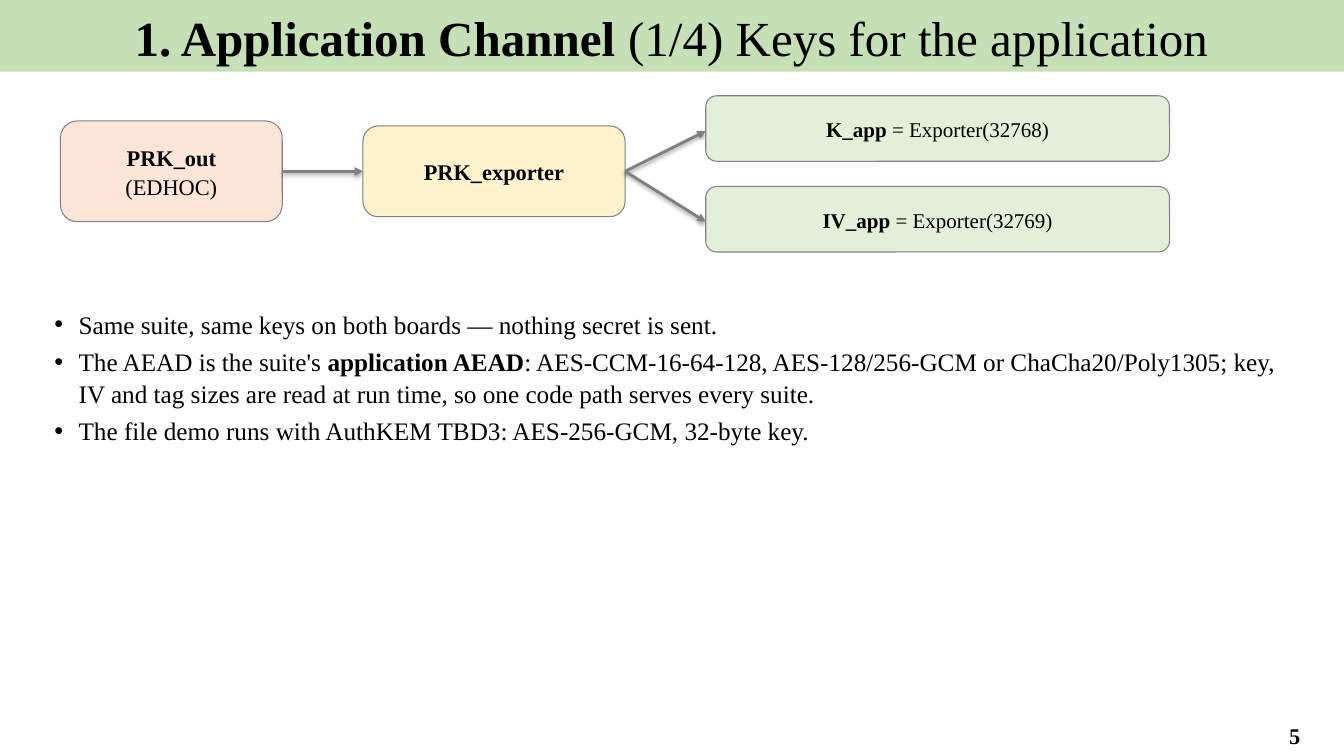
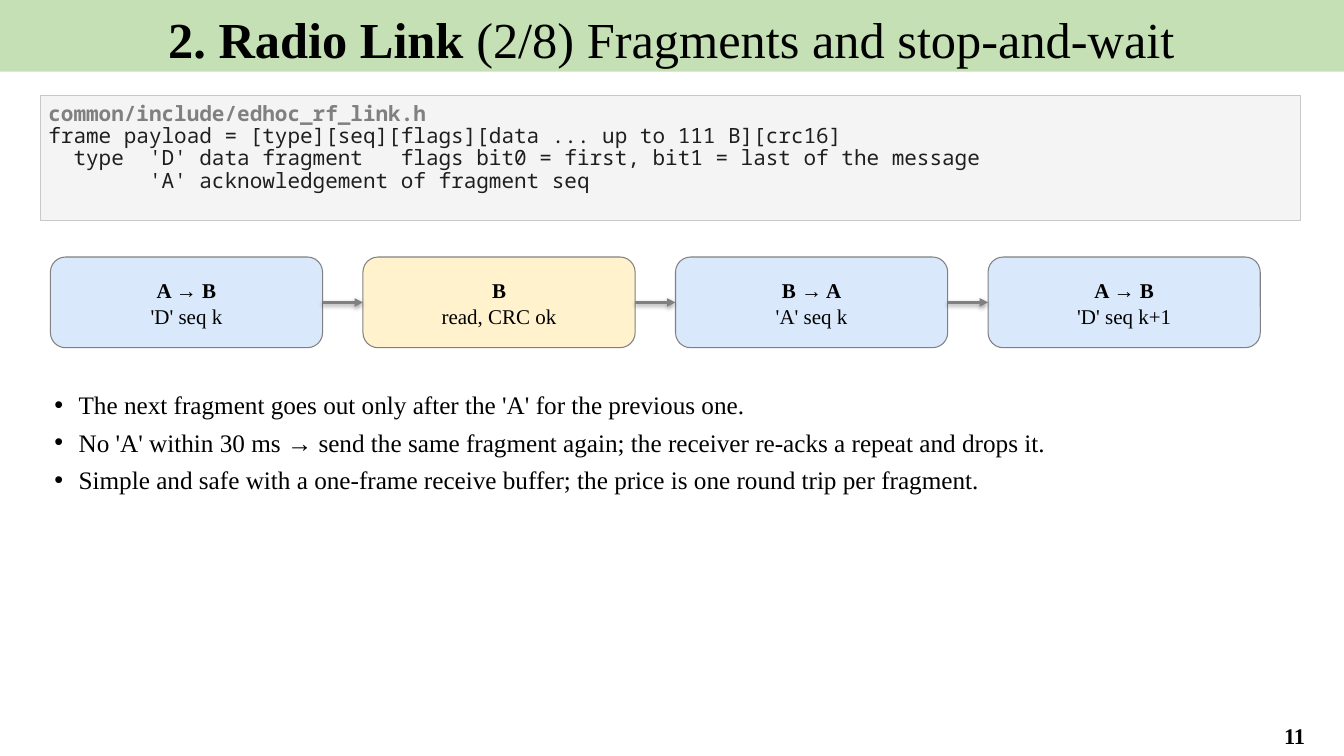
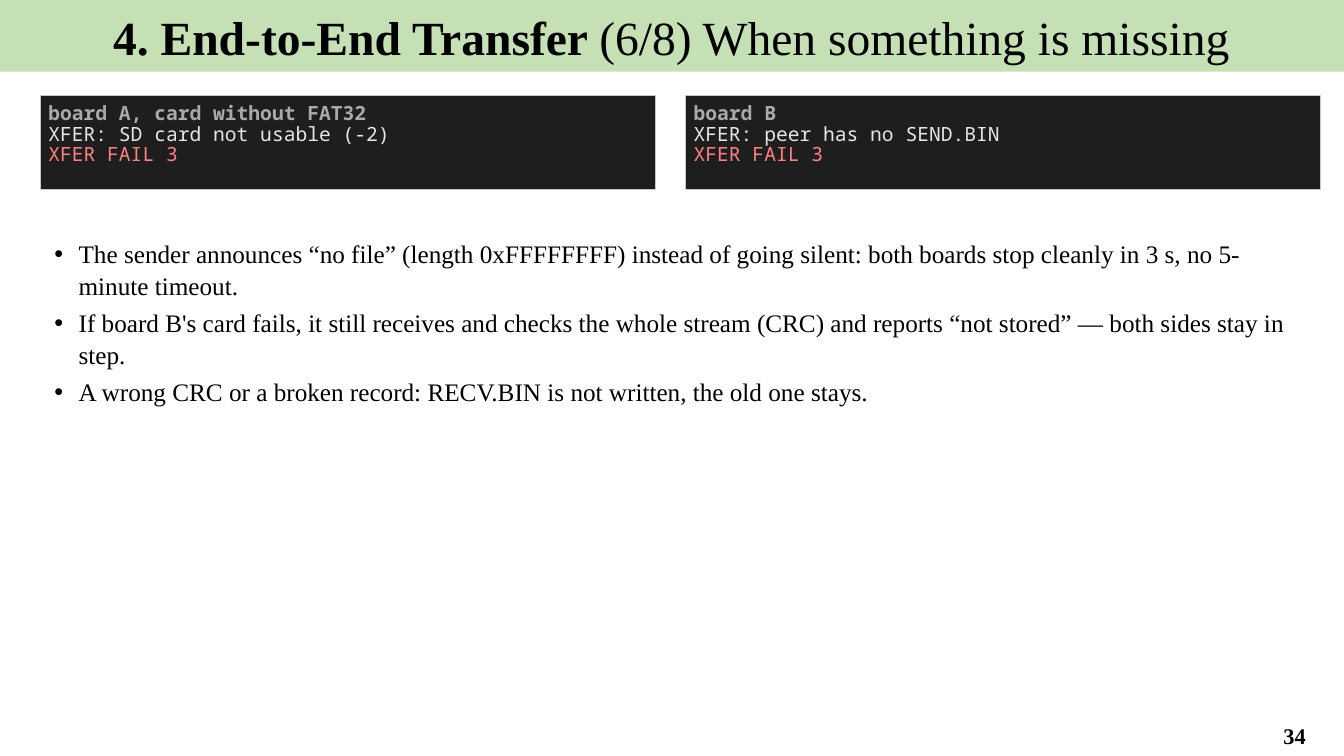
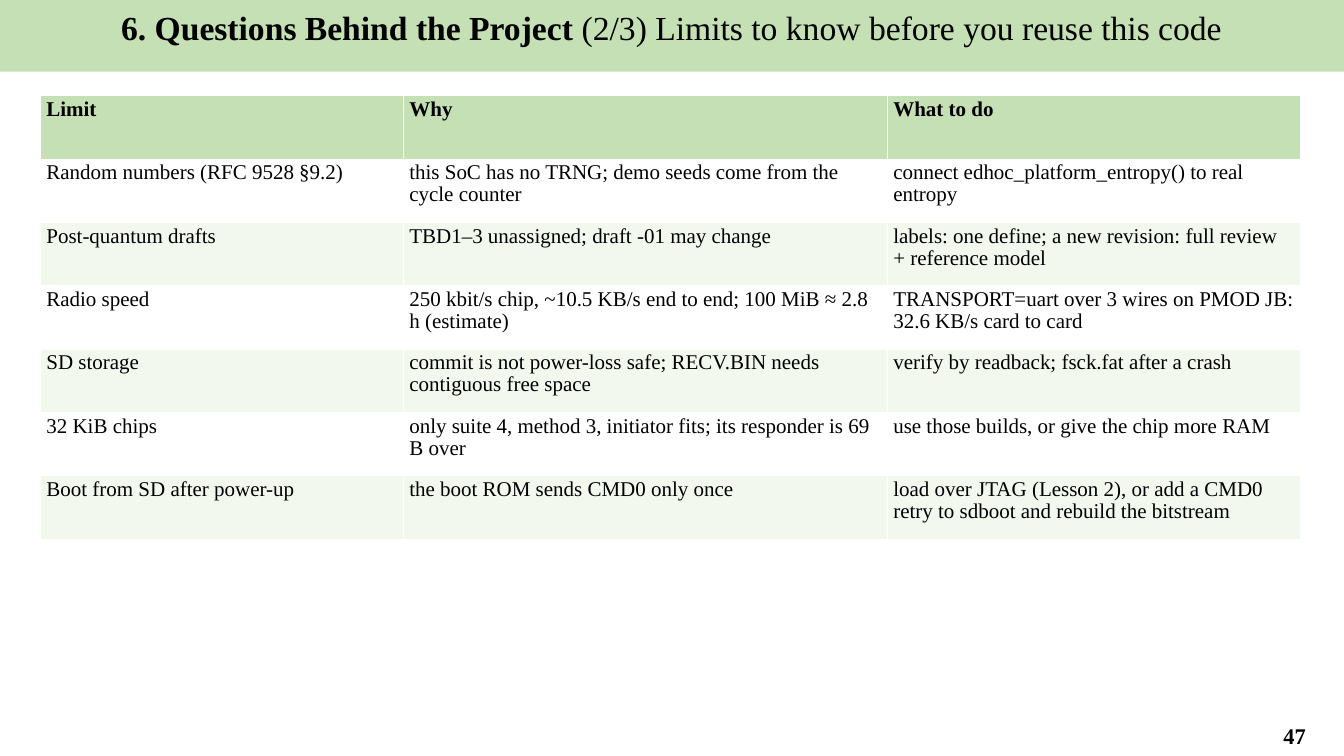
from dataclasses import dataclass
from itertools import pairwise

import lxml.etree
import pptx
import pptx.dml.color
import pptx.enum.shapes
import pptx.enum.text
import pptx.oxml.ns
import pptx.presentation
import pptx.slide
import pptx.text.text
import pptx.util

ALIGN = pptx.enum.text.PP_ALIGN
ANCHOR = pptx.enum.text.MSO_ANCHOR
SHAPE = pptx.enum.shapes.MSO_SHAPE
EMU_PER_PX = 9144
SERIF, MONO = "Times New Roman", "Noto Sans Mono"
BLACK, WHITE, GREY = "000000", "FFFFFF", "808080"
BAND, STRIPE = "C5E0B4", "F2F8EE"
PEACH, CREAM, MINT, SKY = "FCE4D6", "FFF2CC", "E2F0D9", "DAE8FC"
TITLE_AND_BODY, TITLE_ONLY = 1, 5
TOP, LEFT, CONTENT_WIDTH = 95, 40, 1250


@dataclass(frozen=True)
class Run:
    text: str
    bold: bool = False
    color: str = BLACK


@dataclass(frozen=True)
class Style:
    size: int
    font: str = SERIF
    align: ALIGN = ALIGN.LEFT
    spacing: float = 1.05
    after: int = 0
    bullet: bool = False


@dataclass(frozen=True)
class Box:
    left: int
    top: int
    width: int
    height: int

    @property
    def middle(self) -> int:
        return self.top + self.height // 2

    @property
    def right(self) -> int:
        return self.left + self.width


@dataclass(frozen=True)
class Node:
    box: Box
    fill: str
    lines: list[list[Run]]
    size: int = 15


@dataclass(frozen=True)
class Listing:
    box: Box
    fill: str
    size: int
    lines: list[Run]


@dataclass(frozen=True)
class Heading:
    section: str
    topic: str
    size: int
    page: int


BULLETS = Style(18, after=4, bullet=True)


def px(length: int) -> pptx.util.Emu:
    return pptx.util.Emu(length * EMU_PER_PX)


def rgb(color: str) -> pptx.dml.color.RGBColor:
    return pptx.dml.color.RGBColor.from_string(color)


def emu(box: Box) -> tuple[pptx.util.Emu, ...]:
    return px(box.left), px(box.top), px(box.width), px(box.height)


def place(shape, box: Box) -> None:
    shape.left, shape.top, shape.width, shape.height = emu(box)


def paint(shape, fill: str, outline: str) -> None:
    shape.shadow.inherit = False
    shape.fill.solid()
    shape.fill.fore_color.rgb = rgb(fill)
    shape.line.color.rgb = rgb(outline)
    shape.line.width = pptx.util.Pt(0.75)


def set_frame(frame: pptx.text.text.TextFrame, across: int, down: int,
              anchor: ANCHOR = ANCHOR.TOP, wrap: bool = True) -> None:
    frame.margin_left = frame.margin_right = px(across)
    frame.margin_top = frame.margin_bottom = px(down)
    frame.vertical_anchor = anchor
    frame.word_wrap = wrap
    frame.auto_size = pptx.enum.text.MSO_AUTO_SIZE.NONE


def add_bullet(paragraph) -> None:
    properties = paragraph._p.get_or_add_pPr()
    properties.set("marL", str(px(28)))
    properties.set("indent", str(px(-24)))
    qn = pptx.oxml.ns.qn
    lxml.etree.SubElement(properties, qn("a:buFont"), typeface="Arial")
    lxml.etree.SubElement(properties, qn("a:buChar"), char="•")


def write(frame: pptx.text.text.TextFrame, lines: list[list[Run]], style: Style) -> None:
    for index, line in enumerate(lines):
        paragraph = frame.add_paragraph() if index else frame.paragraphs[0]
        if style.bullet:
            add_bullet(paragraph)
        paragraph.alignment = style.align
        paragraph.line_spacing = style.spacing
        paragraph.space_before = pptx.util.Pt(0)
        paragraph.space_after = pptx.util.Pt(style.after)
        for piece in line:
            run = paragraph.add_run()
            run.text = piece.text
            run.font.name = style.font
            run.font.size = pptx.util.Pt(style.size)
            run.font.bold = piece.bold
            run.font.color.rgb = rgb(piece.color)


def start_slide(deck: pptx.presentation.Presentation, heading: Heading,
                layout: int = TITLE_AND_BODY) -> pptx.slide.Slide:
    slide = deck.slides.add_slide(deck.slide_layouts[layout])
    title = slide.shapes.title
    place(title, Box(-1, 0, 1334, 71))
    title.fill.solid()
    title.fill.fore_color.rgb = rgb(BAND)
    set_frame(title.text_frame, 10, 5)
    write(title.text_frame, [[Run(heading.section + " ", True), Run(heading.topic)]],
          Style(heading.size, align=ALIGN.CENTER))
    page = slide.shapes.add_textbox(*emu(Box(1235, 710, 98, 39)))
    set_frame(page.text_frame, 10, 5, ANCHOR.MIDDLE)
    write(page.text_frame, [[Run(str(heading.page), True)]],
          Style(16, align=ALIGN.CENTER, spacing=1.0))
    return slide


def fill_body(slide: pptx.slide.Slide, top: int, height: int,
              points: list[list[Run]]) -> None:
    body = slide.placeholders[1]
    place(body, Box(LEFT, top, CONTENT_WIDTH, height))
    set_frame(body.text_frame, 10, 5)
    write(body.text_frame, points, BULLETS)


def add_node(slide: pptx.slide.Slide, node: Node) -> None:
    shape = slide.shapes.add_shape(SHAPE.ROUNDED_RECTANGLE, *emu(node.box))
    paint(shape, node.fill, GREY)
    set_frame(shape.text_frame, 4, 4, ANCHOR.MIDDLE)
    write(shape.text_frame, node.lines, Style(node.size, align=ALIGN.CENTER))


def add_arrow(slide: pptx.slide.Slide, source: Box, target: Box, drop: int = 0) -> None:
    arrow = slide.shapes.add_connector(
        pptx.enum.shapes.MSO_CONNECTOR.STRAIGHT,
        px(source.right), px(source.middle), px(target.left), px(target.middle + drop))
    arrow.line.color.rgb = rgb(GREY)
    arrow.line.width = pptx.util.Pt(2)
    outline = arrow.element.spPr.find(pptx.oxml.ns.qn("a:ln"))
    lxml.etree.SubElement(outline, pptx.oxml.ns.qn("a:tailEnd"), type="triangle")


def add_listing(slide: pptx.slide.Slide, listing: Listing) -> None:
    shape = slide.shapes.add_shape(SHAPE.RECTANGLE, *emu(listing.box))
    paint(shape, listing.fill, "C8C8C8")
    set_frame(shape.text_frame, 8, 8, wrap=False)
    write(shape.text_frame, [[line] for line in listing.lines],
          Style(listing.size, MONO, spacing=0.88))


def add_limits(slide: pptx.slide.Slide, box: Box, widths: list[int],
               rows: list[tuple[str, ...]]) -> None:
    table = slide.shapes.add_table(len(rows), len(widths), *emu(box)).table
    for column, width in zip(table.columns, widths):
        column.width = px(width)
    for row, texts in enumerate(rows):
        fill = BAND if row == 0 else WHITE if row % 2 else STRIPE
        for column, text in enumerate(texts):
            cell = table.cell(row, column)
            cell.fill.solid()
            cell.fill.fore_color.rgb = rgb(fill)
            cell.margin_left = cell.margin_right = px(6)
            cell.margin_top = cell.margin_bottom = px(3)
            write(cell.text_frame, [[Run(text, row == 0)]], Style(15, spacing=0.95))


def build_keys(deck: pptx.presentation.Presentation) -> None:
    slide = start_slide(deck, Heading(
        "1. Application Channel", "(1/4) Keys for the application", 35, 5))
    secret = Box(60, 120, 220, 100)
    exporter = Box(360, 125, 260, 90)
    outputs = [Box(700, TOP + 90 * index, 460, 65) for index in range(2)]
    add_node(slide, Node(secret, PEACH, [[Run("PRK_out", True)], [Run("(EDHOC)")]], 16))
    add_arrow(slide, secret, exporter)
    add_node(slide, Node(exporter, CREAM, [[Run("PRK_exporter", True)]], 16))
    for output in outputs:
        add_arrow(slide, exporter, output, drop=3)
    for output, name, label in zip(outputs, ("K_app", "IV_app"), (32768, 32769)):
        add_node(slide, Node(output, MINT, [[Run(name, True), Run(f" = Exporter({label})")]]))
    fill_body(slide, 300, 350, [
        [Run("Same suite, same keys on both boards — nothing secret is sent.")],
        [Run("The AEAD is the suite's "), Run("application AEAD", True),
         Run(": AES-CCM-16-64-128, AES-128/256-GCM or ChaCha20/Poly1305; key, IV and tag "
             "sizes are read at run time, so one code path serves every suite.")],
        [Run("The file demo runs with AuthKEM TBD3: AES-256-GCM, 32-byte key.")],
    ])


def build_fragments(deck: pptx.presentation.Presentation) -> None:
    slide = start_slide(deck, Heading(
        "2. Radio Link", "(2/8) Fragments and stop-and-wait", 36, 11))
    ink = "1F1F1F"
    add_listing(slide, Listing(Box(LEFT, TOP, CONTENT_WIDTH, 124), "F4F4F4", 15, [
        Run("common/include/edhoc_rf_link.h", True, GREY),
        Run("frame payload = [type][seq][flags][data ... up to 111 B][crc16]", color=ink),
        Run("  type  'D' data fragment   flags bit0 = first, bit1 = last of the message",
            color=ink),
        Run("        'A' acknowledgement of fragment seq", color=ink),
    ]))
    exchange = [
        ("A → B", "'D' seq k", SKY),
        ("B", "read, CRC ok", CREAM),
        ("B → A", "'A' seq k", SKY),
        ("A → B", "'D' seq k+1", SKY),
    ]
    steps = [Box(50 + 310 * index, 255, 270, 90) for index in range(len(exchange))]
    for step, (who, action, fill) in zip(steps, exchange):
        add_node(slide, Node(step, fill, [[Run(who, True)], [Run(action)]]))
    for source, target in pairwise(steps):
        add_arrow(slide, source, target)
    fill_body(slide, 380, 300, [
        [Run("The next fragment goes out only after the 'A' for the previous one.")],
        [Run("No 'A' within 30 ms → send the same fragment again; the receiver re-acks "
             "a repeat and drops it.")],
        [Run("Simple and safe with a one-frame receive buffer; the price is one round "
             "trip per fragment.")],
    ])


def build_missing(deck: pptx.presentation.Presentation) -> None:
    slide = start_slide(deck, Heading(
        "4. End-to-End Transfer", "(6/8) When something is missing", 34, 34))
    consoles = [
        (Box(LEFT, TOP, 610, 93), "board A, card without FAT32",
         "XFER: SD card not usable (-2)"),
        (Box(680, TOP, 630, 93), "board B", "XFER: peer has no SEND.BIN"),
    ]
    for box, board, message in consoles:
        add_listing(slide, Listing(box, "1E1E1E", 14, [
            Run(board, True, "AAAAAA"),
            Run(message, color="E6E6E6"),
            Run("XFER FAIL 3", color="FF8080"),
        ]))
    fill_body(slide, 230, 360, [
        [Run("The sender announces “no file” (length 0xFFFFFFFF) instead of going silent: "
             "both boards stop cleanly in 3 s, no 5-minute timeout.")],
        [Run("If board B's card fails, it still receives and checks the whole stream (CRC) "
             "and reports “not stored” — both sides stay in step.")],
        [Run("A wrong CRC or a broken record: RECV.BIN is not written, the old one stays.")],
    ])


def build_limits(deck: pptx.presentation.Presentation) -> None:
    slide = start_slide(deck, Heading(
        "6. Questions Behind the Project",
        "(2/3) Limits to know before you reuse this code", 24, 47), TITLE_ONLY)
    add_limits(slide, Box(LEFT, TOP, CONTENT_WIDTH, 440), [360, 480, 410], [
        ("Limit", "Why", "What to do"),
        ("Random numbers (RFC 9528 §9.2)",
         "this SoC has no TRNG; demo seeds come from the cycle counter",
         "connect edhoc_platform_entropy() to real entropy"),
        ("Post-quantum drafts",
         "TBD1–3 unassigned; draft -01 may change",
         "labels: one define; a new revision: full review + reference model"),
        ("Radio speed",
         "250 kbit/s chip, ~10.5 KB/s end to end; 100 MiB ≈ 2.8 h (estimate)",
         "TRANSPORT=uart over 3 wires on PMOD JB: 32.6 KB/s card to card"),
        ("SD storage",
         "commit is not power-loss safe; RECV.BIN needs contiguous free space",
         "verify by readback; fsck.fat after a crash"),
        ("32 KiB chips",
         "only suite 4, method 3, initiator fits; its responder is 69 B over",
         "use those builds, or give the chip more RAM"),
        ("Boot from SD after power-up",
         "the boot ROM sends CMD0 only once",
         "load over JTAG (Lesson 2), or add a CMD0 retry to sdboot and rebuild the bitstream"),
    ])


def main() -> None:
    deck = pptx.Presentation()
    deck.slide_width, deck.slide_height = px(1333), px(750)
    for build in (build_keys, build_fragments, build_missing, build_limits):
        build(deck)
    deck.save("out.pptx")


if __name__ == "__main__":
    main()
